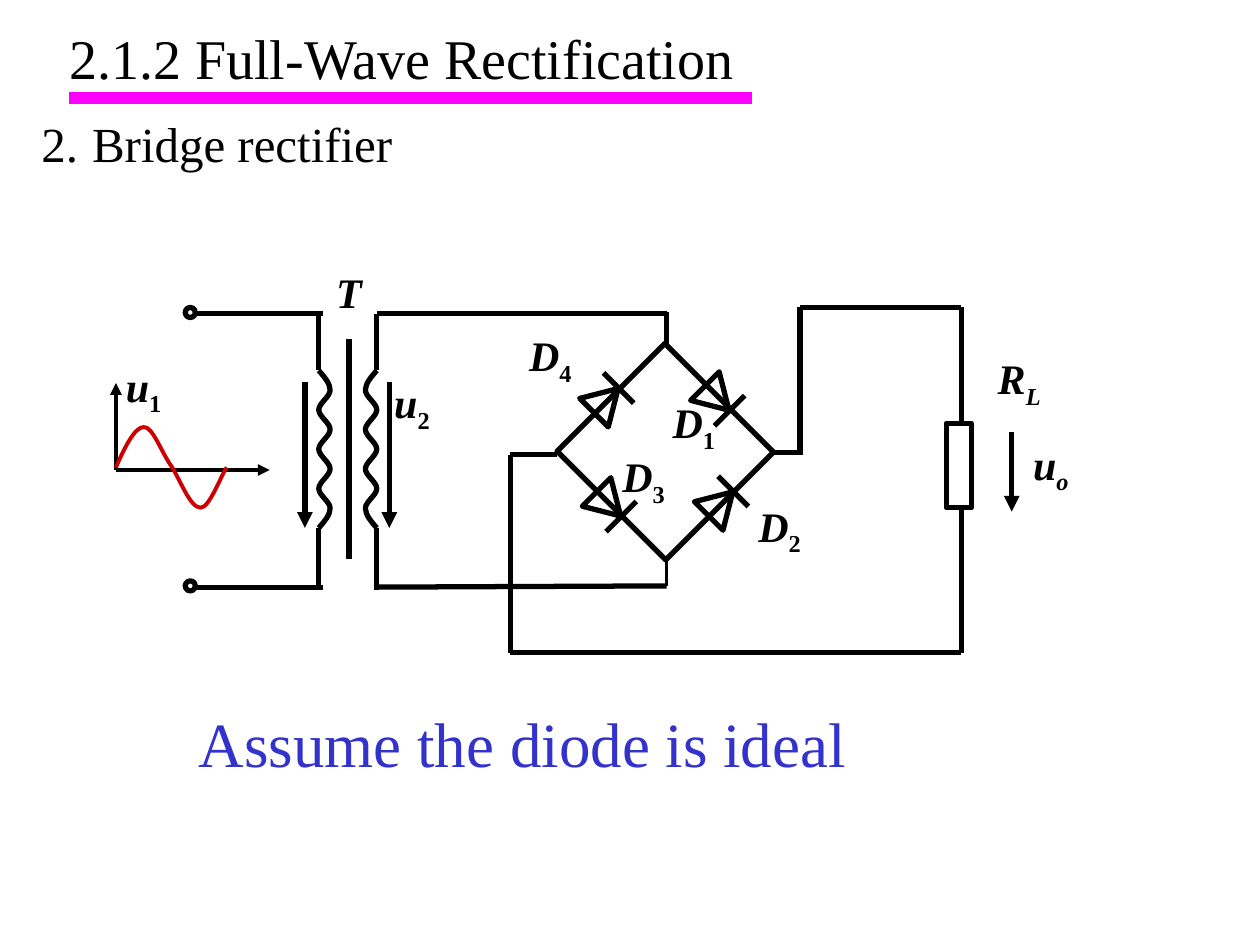
import pptx
import pptx.dml.color
import pptx.enum.shapes
import pptx.enum.text
import pptx.oxml.ns
import pptx.util
from lxml import etree

Inches = pptx.util.Inches
qn = pptx.oxml.ns.qn
Shape = pptx.enum.shapes.MSO_SHAPE
BLACK = pptx.dml.color.RGBColor(0x00, 0x00, 0x00)
MAGENTA = pptx.dml.color.RGBColor(0xFF, 0x00, 0xFF)
RED = pptx.dml.color.RGBColor(0xCC, 0x00, 0x00)
BLUE = pptx.dml.color.RGBColor(0x33, 0x33, 0xCC)
FONT = "Times New Roman"

TITLE = "2.1.2 Full-Wave Rectification"
HEADING = [("2.", 28), (" ", 32), ("Bridge rectifier", 28)]
CAPTION = "Assume the diode is ideal"

# Symbol, subscript, subscript is italic, left, top, width
LABELS = [
    ("u", "1", False, 0.9, 2.81, 0.61),
    ("u", "2", False, 3.03, 2.94, 0.61),
    ("T", "", False, 2.57, 2.07, 0.4),
    ("D", "4", False, 4.1, 2.57, 0.61),
    ("D", "2", False, 5.92, 3.92, 0.61),
    ("D", "1", False, 5.24, 3.1, 0.61),
    ("D", "3", False, 4.84, 3.53, 0.61),
    ("R", "L", True, 7.82, 2.75, 1.11),
    ("u", "o", True, 8.1, 3.43, 0.81),
]
# x1, y1, x2, y2
WIRES = [
    (1.56, 2.49, 2.56, 2.49), (1.56, 4.66, 2.56, 4.66),  # primary side
    (2.53, 2.48, 2.53, 2.94), (2.53, 4.19, 2.53, 4.65),
    (2.77, 2.69, 2.77, 4.44),                            # core
    (2.99, 2.49, 2.99, 2.94), (2.99, 4.19, 2.99, 4.65),  # secondary side
    (2.99, 2.49, 5.29, 2.49), (2.97, 4.66, 5.29, 4.65),
    (5.29, 2.48, 5.29, 2.73),
    (4.42, 3.61, 4.05, 3.61), (4.05, 3.61, 4.05, 5.18),  # load side
    (4.05, 5.18, 7.63, 5.18), (7.63, 4.04, 7.63, 5.18),
    (7.63, 3.34, 7.63, 2.44), (6.35, 2.44, 7.63, 2.44),
    (6.35, 2.44, 6.35, 3.61), (6.13, 3.59, 6.35, 3.59),
]
VOLTAGE_ARROWS = [(2.42, 3.03, 2.42, 4.19), (3.09, 3.03, 3.09, 4.19),
                  (8.03, 3.43, 8.03, 4.06)]
AXES = [(0.92, 3.73, 0.92, 3.04), (0.92, 3.73, 2.14, 3.73)]
# Centre x, centre y, rotation
DIODES = [(4.81, 3.18, 45), (5.72, 4.0, 45), (5.69, 3.16, 135), (4.83, 4.0, 135)]
TERMINALS_Y = [2.44, 4.61]
# Winding edge x, bulge x
WINDINGS = [(2.53, 2.62), (2.99, 2.9)]
WINDING_TOP, WINDING_BOTTOM, HALF_TURNS = 2.94, 4.19, 8
SINE = [(0.92, 3.71), (0.99, 3.55), (1.07, 3.39), (1.14, 3.39),
        (1.21, 3.38), (1.28, 3.59), (1.36, 3.7),
        (1.43, 3.81), (1.51, 4.03), (1.59, 4.03),
        (1.66, 4.04), (1.76, 3.76), (1.8, 3.71)]


def add_line(shapes, ends, color=BLACK, width=3, arrow=False):
    line = shapes.add_connector(pptx.enum.shapes.MSO_CONNECTOR.STRAIGHT,
                                *[Inches(value) for value in ends])
    line.line.color.rgb = color
    line.line.width = pptx.util.Pt(width)
    if arrow:
        etree.SubElement(line.line._get_or_add_ln(), qn("a:tailEnd"), type="triangle")
    etree.SubElement(line._element.spPr, qn("a:effectLst"))
    return line


def outline(shape, color=BLACK, width=3):
    shape.shadow.inherit = False
    shape.fill.background()
    shape.line.color.rgb = color
    shape.line.width = pptx.util.Pt(width)


def add_outlined(shapes, kind, left, top, width, height, rotation=0):
    shape = shapes.add_shape(kind, Inches(left), Inches(top),
                             Inches(width), Inches(height))
    shape.rotation = rotation
    outline(shape)


def add_curve(shapes, controls, color=BLACK, width=3):
    """Draw chained cubic Bezier curves; each takes three more control points."""
    points = [(Inches(x), Inches(y)) for x, y in controls]
    builder = shapes.build_freeform(*points[0])
    builder.add_line_segments(points[1:], close=False)
    curve = builder.convert_to_shape()
    segments = list(curve._element.iter(qn("a:lnTo")))
    for i in range(0, len(segments), 3):
        bezier = etree.Element(qn("a:cubicBezTo"))
        segments[i].addprevious(bezier)
        for segment in segments[i:i + 3]:
            bezier.append(segment[0])
            segment.getparent().remove(segment)
    outline(curve, color, width)


def winding_controls(edge, bulge):
    step = (WINDING_BOTTOM - WINDING_TOP) / HALF_TURNS
    middle = (edge + bulge) / 2
    controls = [(edge, WINDING_TOP)]
    for i in range(HALF_TURNS):
        start, end = (edge, bulge) if i % 2 == 0 else (bulge, edge)
        y = WINDING_TOP + i * step
        leaving = middle if i == 0 else start
        arriving = middle if i == HALF_TURNS - 1 else end
        controls += [(leaving, y + step / 3), (arriving, y + 2 * step / 3),
                     (end, y + step)]
    return controls


def add_diode(shapes, x, y, rotation):
    width, height, to_bar, half_bar = 0.32, 0.27, 0.1, 0.12
    add_outlined(shapes, Shape.ISOSCELES_TRIANGLE, x - width / 2, y - height / 2,
                 width, height, rotation)
    up = 1 if rotation < 90 else -1
    bar_x, bar_y = x + to_bar, y - up * to_bar
    add_line(shapes, (bar_x - up * half_bar, bar_y - half_bar,
                      bar_x + up * half_bar, bar_y + half_bar))


def add_text_box(shapes, left, top, width, height, wrap=True):
    box = shapes.add_textbox(Inches(left), Inches(top), Inches(width), Inches(height))
    box.text_frame.word_wrap = wrap
    return box.text_frame


def add_run(paragraph, text, size, color=BLACK, bold=False, italic=False, subscript=False):
    run = paragraph.add_run()
    run.text = text
    run.font.name = FONT
    run.font.size = pptx.util.Pt(size)
    run.font.color.rgb = color
    run.font.bold = bold
    run.font.italic = italic
    if subscript:
        run._r.get_or_add_rPr().set("baseline", "-25000")


def main():
    deck = pptx.Presentation()
    deck.slide_width, deck.slide_height = Inches(10), Inches(7.5)
    slide = deck.slides.add_slide(deck.slide_layouts[5])
    underline = add_line(slide.shapes, (0.6, 0.78, 5.92, 0.78), MAGENTA, 7)
    underline.line._get_or_add_ln().set("cap", "sq")

    title = slide.shapes.title
    title.left, title.top = Inches(0.45), Inches(0.13)
    title.width, title.height = Inches(5.87), Inches(0.64)
    title.text_frame.vertical_anchor = pptx.enum.text.MSO_ANCHOR.MIDDLE
    title.text_frame.auto_size = pptx.enum.text.MSO_AUTO_SIZE.NONE
    title_line = title.text_frame.paragraphs[0]
    title_line.alignment = pptx.enum.text.PP_ALIGN.LEFT
    add_run(title_line, TITLE, 32)

    heading = add_text_box(slide.shapes, 0.23, 0.8, 5.68, 0.66).paragraphs[0]
    for text, size in HEADING:
        add_run(heading, text, size)

    circuit = slide.shapes.add_group_shape().shapes
    for wire in WIRES:
        add_line(circuit, wire)
    add_line(circuit, (5.29, 4.65, 5.29, 4.44), width=2.25)
    for arrow in VOLTAGE_ARROWS:
        add_line(circuit, arrow, arrow=True)
    for axis in AXES:
        add_line(circuit, axis, width=2.25, arrow=True)
    add_curve(circuit, SINE, RED, 2.25)
    for edge, bulge in WINDINGS:
        add_curve(circuit, winding_controls(edge, bulge))
    for top in TERMINALS_Y:
        add_outlined(circuit, Shape.OVAL, 1.47, top, 0.08, 0.08)
    add_outlined(circuit, Shape.RECTANGLE, 7.51, 3.36, 0.2, 0.67)
    add_outlined(circuit, Shape.RECTANGLE, 4.67, 2.98, 1.22, 1.21, 45)
    for x, y, rotation in DIODES:
        add_diode(circuit, x, y, rotation)
    for symbol, subscript, italic, left, top, width in LABELS:
        frame = add_text_box(circuit, left, top, width, 0.56 if subscript else 0.5,
                             wrap=bool(subscript))
        add_run(frame.paragraphs[0], symbol, 24, bold=True, italic=True)
        if subscript:
            add_run(frame.paragraphs[0], subscript, 24, bold=True, italic=italic,
                    subscript=True)

    caption = add_text_box(slide.shapes, 1.48, 5.54, 6.55, 0.7)
    add_run(caption.paragraphs[0], CAPTION, 36, BLUE)
    deck.save("out.pptx")


if __name__ == "__main__":
    main()
